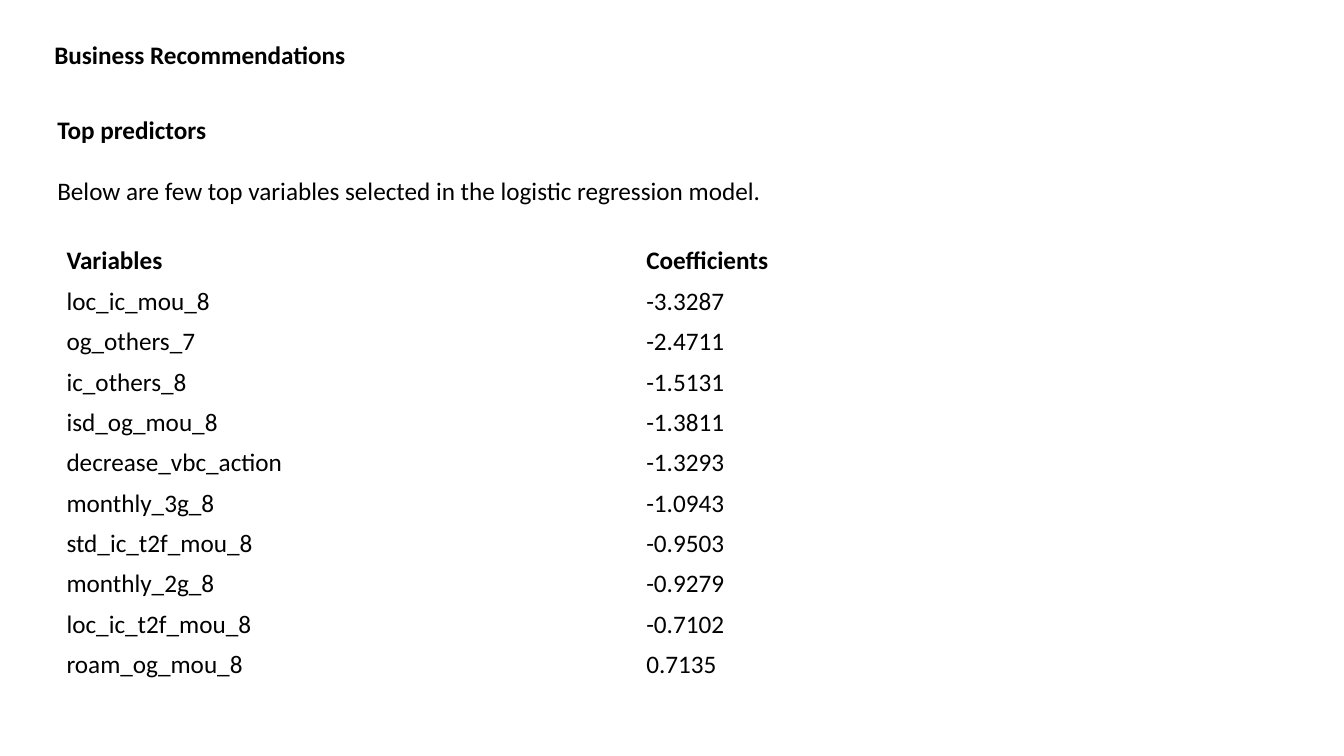
from dataclasses import dataclass

from pptx import Presentation
from pptx.dml.color import RGBColor
from pptx.enum.text import MSO_VERTICAL_ANCHOR as Anchor
from pptx.slide import Slide
from pptx.util import Emu, Pt

PX = 9144
INK, PAPER = "000000", "FFFFFF"
LINE_GAP = 22


@dataclass(frozen=True)
class Line:
    text: str
    bold: bool = False


@dataclass(frozen=True)
class TextBlock:
    left: int
    top: int
    width: int
    height: int
    lines: tuple[Line, ...]


@dataclass(frozen=True)
class Predictor:
    variable: str
    coefficient: str


TEXT_BLOCKS = (
    TextBlock(44, 34, 501, 40, (Line("Business Recommendations", True),)),
    TextBlock(47, 108, 1230, 131, (
        Line("Top predictors", True),
        Line("Below are few top variables selected in the logistic regression model."),
    )),
)

PREDICTORS = (
    Predictor("Variables", "Coefficients"),
    Predictor("loc_ic_mou_8", "-3.3287"),
    Predictor("og_others_7", "-2.4711"),
    Predictor("ic_others_8", "-1.5131"),
    Predictor("isd_og_mou_8", "-1.3811"),
    Predictor("decrease_vbc_action", "-1.3293"),
    Predictor("monthly_3g_8", "-1.0943"),
    Predictor("std_ic_t2f_mou_8", "-0.9503"),
    Predictor("monthly_2g_8", "-0.9279"),
    Predictor("loc_ic_t2f_mou_8", "-0.7102"),
    Predictor("roam_og_mou_8", "0.7135"),
)


def px(length: int) -> Emu:
    """Turn whole pixels into EMU."""
    return Emu(length * PX)


def color(value: str) -> RGBColor:
    """Turn a hex string into a colour."""
    return RGBColor.from_string(value)


def write_line(paragraph, line: Line) -> None:
    """Fill a paragraph with one line in the slide's font."""
    paragraph.text = line.text
    font = paragraph.font
    font.name, font.size, font.bold = "Calibri", Pt(18), line.bold
    font.color.rgb = color(INK)


def draw_text_block(slide: Slide, block: TextBlock) -> None:
    """Draw lines of text with one empty line's space between them."""
    frame = slide.shapes.add_textbox(
        px(block.left), px(block.top), px(block.width), px(block.height)
    ).text_frame
    frame.word_wrap = True
    for index, line in enumerate(block.lines):
        paragraph = frame.add_paragraph() if index else frame.paragraphs[0]
        write_line(paragraph, line)
        if index:
            paragraph.space_before = Pt(LINE_GAP)


def draw_predictors(slide: Slide, predictors: tuple[Predictor, ...]) -> None:
    """Draw the table of variables and their coefficients."""
    table = slide.shapes.add_table(
        len(predictors), 2, px(56), px(239), px(1150), px(40 * len(predictors))
    ).table
    table.first_row = table.horz_banding = False
    for row, predictor in enumerate(predictors):
        for column, text in enumerate((predictor.variable, predictor.coefficient)):
            cell = table.cell(row, column)
            cell.fill.solid()
            cell.fill.fore_color.rgb = color(PAPER)
            cell.vertical_anchor = Anchor.MIDDLE
            write_line(cell.text_frame.paragraphs[0], Line(text, row == 0))


def main() -> None:
    """Build the recommendations slide and save it."""
    deck = Presentation()
    deck.slide_width, deck.slide_height = px(1333), px(750)
    slide = deck.slides.add_slide(deck.slide_layouts[6])
    for block in TEXT_BLOCKS:
        draw_text_block(slide, block)
    draw_predictors(slide, PREDICTORS)
    deck.save("out.pptx")


if __name__ == "__main__":
    main()
